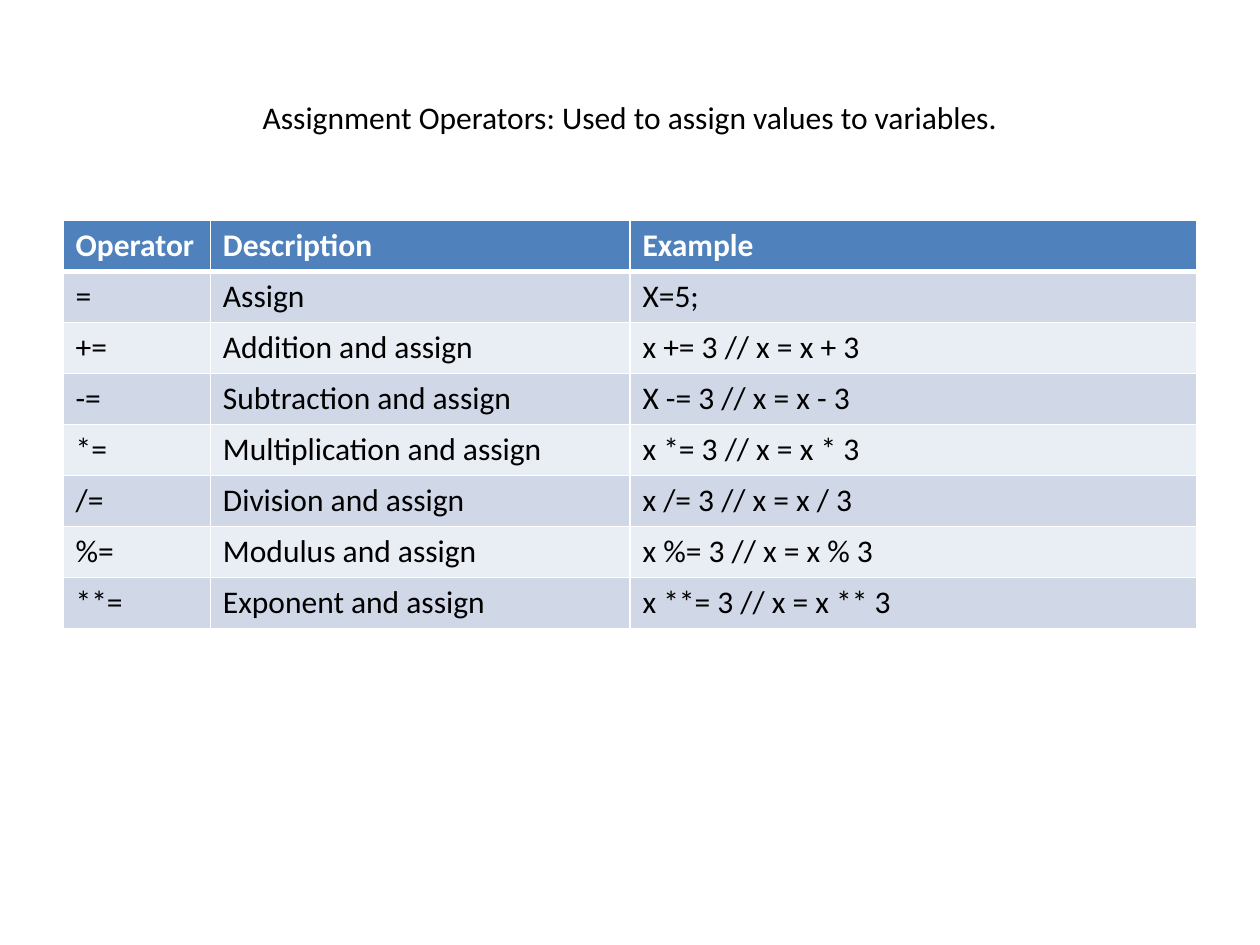
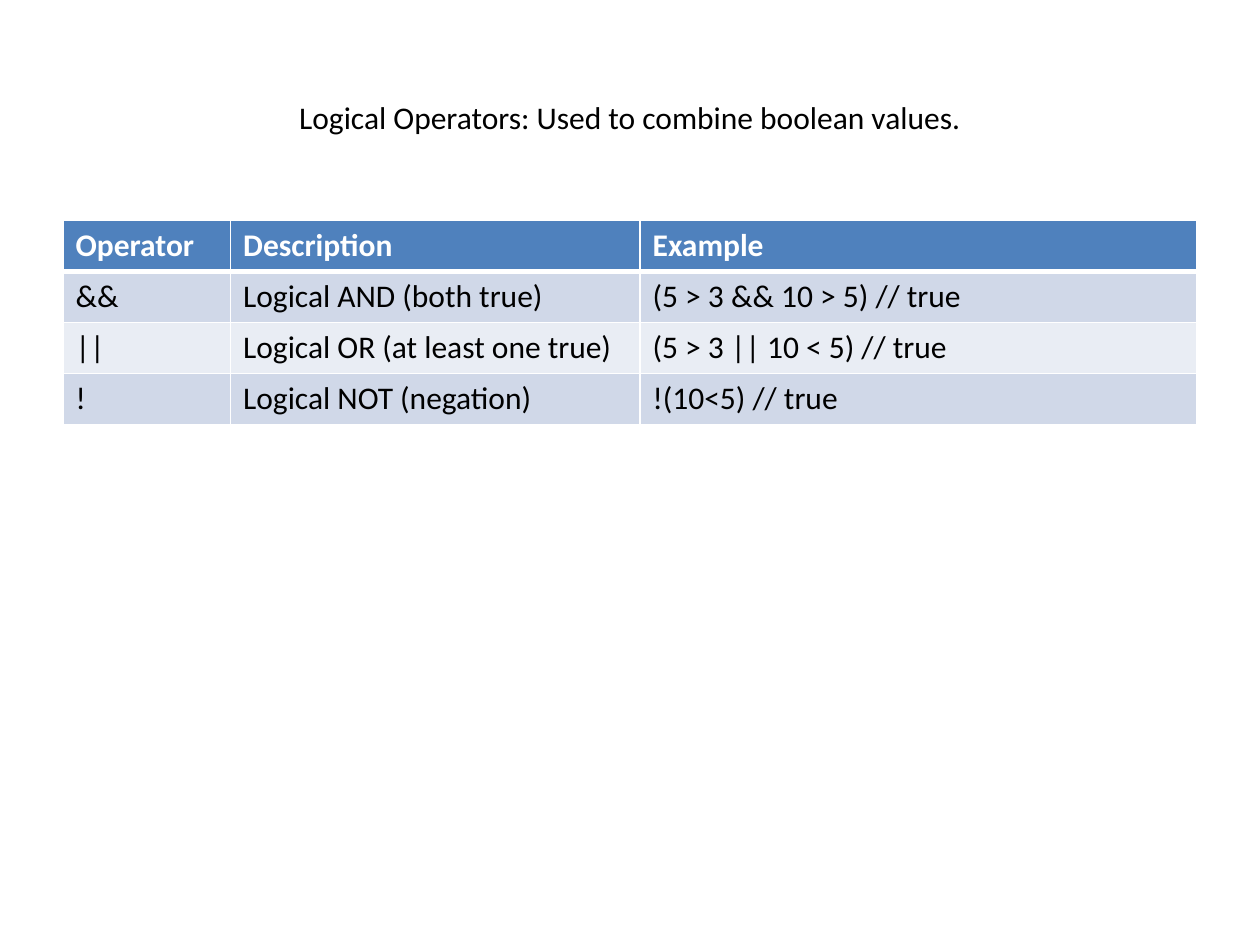
from dataclasses import dataclass

from lxml.etree import SubElement
from pptx import Presentation
from pptx.dml.color import RGBColor
from pptx.enum.text import MSO_ANCHOR, PP_ALIGN
from pptx.oxml.ns import qn
from pptx.util import Inches, Pt

HEADS = ("Operator", "Description", "Example")

SLIDES = [
    {
        "title": "Assignment Operators: Used to assign values to variables.",
        "widths": (1.17, 3.33, 4.5),
        "rows": [
            ("=", "Assign", "X=5;"),
            ("+=", "Addition and assign", "x += 3 // x = x + 3"),
            ("-=", "Subtraction and assign", "X -= 3 // x = x - 3"),
            ("*=", "Multiplication and assign", "x *= 3 // x = x * 3"),
            ("/=", "Division and assign", "x /= 3 // x = x / 3"),
            ("%=", "Modulus and assign", "x %= 3 // x = x % 3"),
            ("**=", "Exponent and assign", "x **= 3 // x = x ** 3"),
        ],
    },
    {
        "title": "Logical Operators: Used to combine boolean values.",
        "widths": (1.33, 3.25, 4.42),
        "rows": [
            ("&&", "Logical AND (both true)", "(5 > 3 && 10 > 5) // true"),
            ("||", "Logical OR (at least one true)", "(5 > 3 || 10 < 5) // true"),
            ("!", "Logical NOT (negation)", "!(10<5) // true"),
        ],
    },
]


@dataclass(frozen=True)
class Theme:
    font: str = "Calibri"
    size: int = 18
    ink: str = "000000"
    paper: str = "FFFFFF"
    head: str = "4F81BD"
    bands: tuple = ("D0D8E8", "E9EDF4")
    thin: int = 1
    thick: int = 3


THEME = Theme()
LEFT, WIDTH = Inches(0.5), Inches(9)
TITLE_TOP, TITLE_HIGH = Inches(0.3), Inches(1.25)
TABLE_TOP = Inches(1.75)
ROW_HIGH = Inches(1.62) // 4


def style(para, color, bold=False):
    font = para.font
    font.name, font.size, font.bold = THEME.font, Pt(THEME.size), bold
    font.color.rgb = RGBColor.from_string(color)


def add_title(slide, text):
    frame = slide.shapes.add_textbox(LEFT, TITLE_TOP, WIDTH, TITLE_HIGH).text_frame
    frame.word_wrap = True
    frame.vertical_anchor = MSO_ANCHOR.MIDDLE
    para = frame.paragraphs[0]
    para.text, para.alignment = text, PP_ALIGN.CENTER
    style(para, THEME.ink)


def set_edges(cell, top, bottom):
    """Rule the four sides of a cell; top and bottom are widths in points."""
    props = cell._tc.get_or_add_tcPr()
    edges = {"L": THEME.thin, "R": THEME.thin, "T": top, "B": bottom}
    for side, width in edges.items():
        line = SubElement(props, qn(f"a:ln{side}"), w=str(Pt(width)))
        fill = SubElement(line, qn("a:solidFill"))
        SubElement(fill, qn("a:srgbClr"), val=THEME.paper)


def fill_cell(cell, text, row):
    head = row == 0
    set_edges(
        cell,
        top=THEME.thick if row == 1 else THEME.thin,
        bottom=THEME.thick if head else THEME.thin,
    )
    cell.fill.solid()
    color = THEME.head if head else THEME.bands[(row - 1) % 2]
    cell.fill.fore_color.rgb = RGBColor.from_string(color)
    cell.text = text
    style(cell.text_frame.paragraphs[0], THEME.paper if head else THEME.ink, head)


def add_grid(slide, rows, widths):
    lines = [HEADS, *rows]
    high = ROW_HIGH * len(lines)
    table = slide.shapes.add_table(
        len(lines), len(HEADS), LEFT, TABLE_TOP, WIDTH, high
    ).table
    for col, width in zip(table.columns, widths):
        col.width = Inches(width)
    for r, line in enumerate(lines):
        table.rows[r].height = ROW_HIGH
        for c, text in enumerate(line):
            fill_cell(table.cell(r, c), text, r)


def main():
    deck = Presentation()
    deck.slide_width, deck.slide_height = Inches(10), Inches(7.5)
    blank = deck.slide_layouts[6]
    for item in SLIDES:
        slide = deck.slides.add_slide(blank)
        add_title(slide, item["title"])
        add_grid(slide, item["rows"], item["widths"])
    deck.save("out.pptx")


if __name__ == "__main__":
    main()
